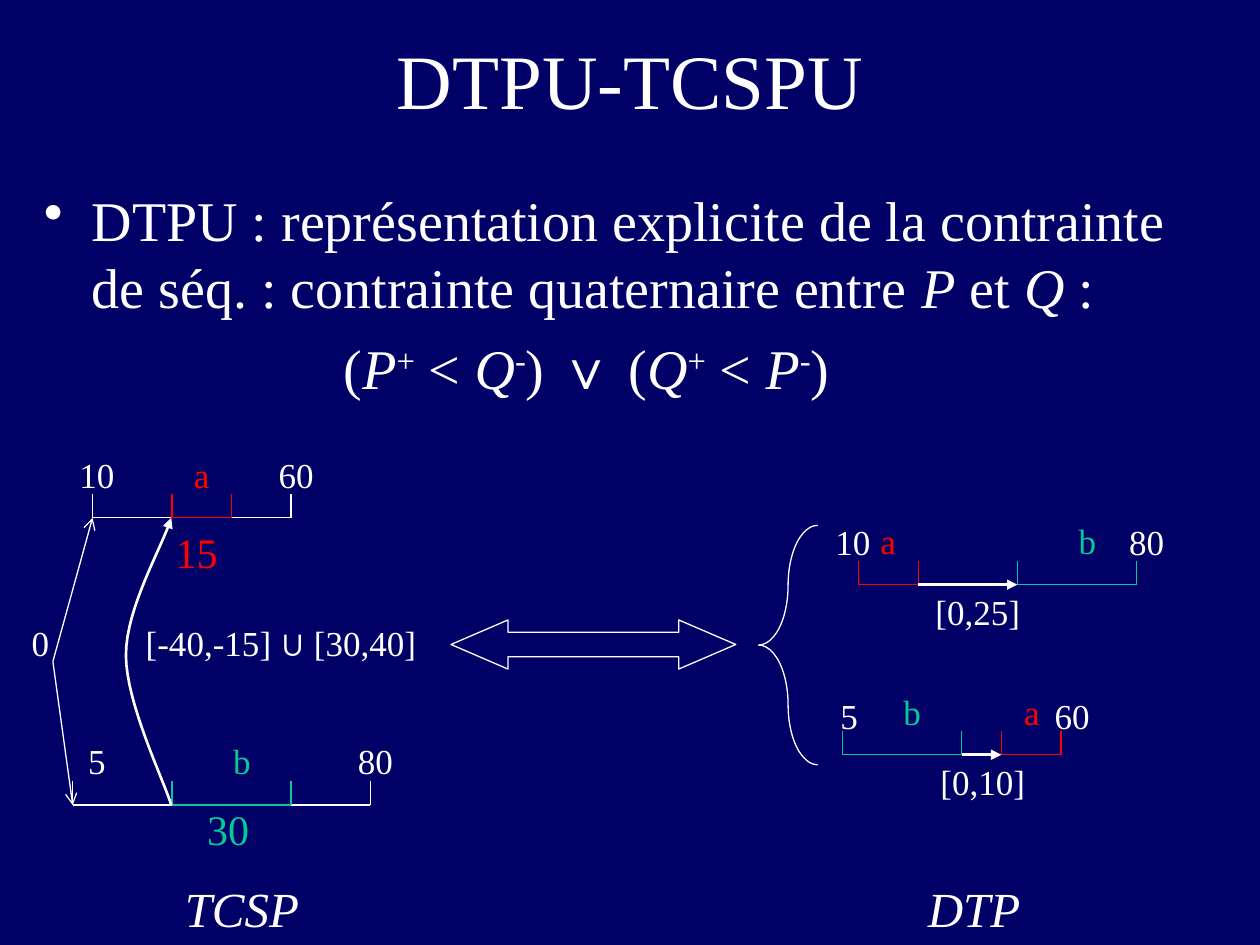
from lxml.etree import SubElement
from pptx import Presentation
from pptx.dml.color import RGBColor
from pptx.enum.shapes import MSO_CONNECTOR, MSO_SHAPE
from pptx.enum.text import MSO_ANCHOR, MSO_AUTO_SIZE, PP_ALIGN
from pptx.oxml.ns import qn
from pptx.util import Inches, Pt

COLOURS = {"navy": "000066", "white": "FFFFFF", "red": "FF0000", "green": "00CC99"}
SERIF, SANS = "Times New Roman", "Arial"
ITALIC, RAISED, SYMBOL = {"italic": True}, {"raised": True}, {"name": SANS}

TITLE = "DTPU-TCSPU"
INTRO = [("DTPU : représentation explicite de la contrainte de séq. : "
          "contrainte quaternaire entre ", {}),
         ("P", ITALIC), (" et ", {}), ("Q ", ITALIC), (":", {})]
FORMULA = [("(", {}), ("P", ITALIC), ("+", RAISED), (" < ", {}), ("Q", ITALIC),
           ("-", RAISED), (") ", {}), ("∨", SYMBOL), (" (", {}), ("Q", ITALIC),
           ("+", RAISED), (" < ", {}), ("P", ITALIC), ("-", RAISED), (")", {})]
UNION = [("[-40,-15] ", {}), ("∪", SYMBOL), (" [30,40]", {})]

# One time unit is UNIT inches; each timeline starts counting at its origin.
UNIT, TICK = 0.0315, 0.19
TCSP_ORIGIN = 0.42
TIMELINES = [
    {"origin": TCSP_ORIGIN, "y": 4.11, "white_ticks": (10, 60),
     "segments": [(10, 30, "white"), (30, 45, "red"), (45, 60, "white")]},
    {"origin": TCSP_ORIGIN, "y": 6.39, "white_ticks": (5, 80),
     "segments": [(5, 30, "white"), (30, 60, "green"), (60, 80, "white")]},
    {"origin": 6.5, "y": 4.64, "arrow": (25, 50),
     "segments": [(10, 25, "red"), (50, 80, "green")]},
    {"origin": 6.53, "y": 5.99, "arrow": (35, 45),
     "segments": [(5, 35, "green"), (45, 60, "red")]},
]
ZERO_POINT = (TCSP_ORIGIN, 5.25)
CURVE = [((1.36, 6.39), (1.3, 6.19), (1, 5.58), (1, 5.2)),
         ((1, 5.2), (1, 4.82), (1.29, 4.34), (1.36, 4.11))]

# Text, centre, top, width, size, colour, run format
LABELS = [
    ("0", 0.32, 4.88, 0.64, 20, "white", {}),
    ("10", 0.77, 3.55, 0.71, 20, "white", {}),
    ("a", 1.6, 3.55, 0.47, 20, "red", {}),
    ("60", 2.35, 3.55, 0.71, 20, "white", {}),
    ("15", 1.56, 4.13, 0.63, 24, "red", {}),
    ("5", 0.77, 5.82, 0.71, 20, "white", {}),
    ("b", 1.92, 5.82, 0.47, 20, "green", {}),
    ("80", 2.98, 5.82, 0.71, 20, "white", {}),
    ("30", 1.81, 6.33, 0.63, 24, "green", {}),
    ("10", 6.77, 4.08, 0.71, 20, "white", {}),
    ("a", 7.05, 4.07, 0.47, 20, "red", {}),
    ("b", 8.63, 4.07, 0.47, 20, "green", {}),
    ("80", 9.1, 4.08, 0.71, 20, "white", {}),
    ("[0,25]", 7.76, 4.64, 0.95, 20, "white", {}),
    ("5", 6.74, 5.46, 0.71, 20, "white", {}),
    ("b", 7.24, 5.43, 0.47, 20, "green", {}),
    ("a", 8.19, 5.43, 0.47, 20, "red", {}),
    ("60", 8.51, 5.46, 0.71, 20, "white", {}),
    ("[0,10]", 7.8, 5.99, 0.95, 20, "white", {}),
    ("TCSP", 1.92, 6.92, 1.17, 28, "white", ITALIC),
    ("DTP", 7.73, 6.92, 0.95, 28, "white", ITALIC),
]


def rgb(colour):
    return RGBColor.from_string(COLOURS[colour])


def place(shape, left, top, width, height):
    box = {"left": left, "top": top, "width": width, "height": height}
    for name, value in box.items():
        setattr(shape, name, Inches(value))


def write_runs(paragraph, runs, size, colour="white"):
    for text, changes in runs:
        run = paragraph.add_run()
        run.text = text
        settings = {"name": SERIF, "size": Pt(size), **changes}
        if settings.pop("raised", False):
            run.font._element.set("baseline", "30000")
        for name, value in settings.items():
            setattr(run.font, name, value)
        run.font.color.rgb = rgb(colour)


def add_text_box(slide, left, top, width, height):
    text_box = slide.shapes.add_textbox(
        Inches(left), Inches(top), Inches(width), Inches(height))
    text_box.text_frame.word_wrap = True
    return text_box.text_frame


def add_label(slide, runs, centre, top, width, size, colour):
    frame = add_text_box(slide, centre - width / 2, top, width, 0.58)
    paragraph = frame.paragraphs[0]
    paragraph.alignment = PP_ALIGN.CENTER
    write_runs(paragraph, runs, size, colour)


def style_line(shape, colour="white", width=0.75, head=None):
    shape.line.color.rgb = rgb(colour)
    shape.line.width = Pt(width)
    if head:
        SubElement(shape.line._get_or_add_ln(), qn("a:tailEnd"), type=head)


def style_outline(shape, **line_format):
    shape.shadow.inherit = False
    shape.fill.background()
    style_line(shape, **line_format)


def add_line(slide, start, end, **line_format):
    connector = slide.shapes.add_connector(
        MSO_CONNECTOR.STRAIGHT, *(Inches(value) for value in (*start, *end)))
    style_line(connector, **line_format)
    SubElement(connector._element.spPr, qn("a:effectLst"))


def add_timeline(slide, origin, y, segments, white_ticks=(), arrow=None):
    def x(time):
        return origin + UNIT * time

    ticks = [(time, "white") for time in white_ticks]
    for start, end, colour in segments:
        add_line(slide, (x(start), y), (x(end), y), colour=colour)
        if colour != "white":
            ticks += [(start, colour), (end, colour)]
    for time, colour in ticks:
        add_line(slide, (x(time), y - TICK), (x(time), y), colour=colour)
    if arrow:
        start, end = arrow
        add_line(slide, (x(start), y), (x(end), y), width=1.5, head="triangle")


def bezier_point(points, t):
    """Return the point at share t of a cubic curve, in whole EMU."""
    weights = ((1 - t) ** 3, 3 * t * (1 - t) ** 2, 3 * t ** 2 * (1 - t), t ** 3)
    return tuple(Inches(sum(w * point[axis] for w, point in zip(weights, points)))
                 for axis in (0, 1))


def add_curve(slide, pieces, steps=16):
    start = bezier_point(pieces[0], 0)
    points = [bezier_point(piece, step / steps)
              for piece in pieces for step in range(1, steps + 1)]
    builder = slide.shapes.build_freeform(*start)
    builder.add_line_segments(points, close=False)
    style_outline(builder.convert_to_shape(), width=1.5, head="triangle")


def add_outline_shape(slide, kind, box, adjustments):
    shape = slide.shapes.add_shape(kind, *(Inches(value) for value in box))
    for index, value in enumerate(adjustments):
        shape.adjustments[index] = value
    style_outline(shape)


def add_title(slide):
    title = slide.shapes.title
    place(title, 0.75, 0, 8.5, 1.25)
    frame = title.text_frame
    settings = {"vertical_anchor": MSO_ANCHOR.MIDDLE, "word_wrap": True,
                "auto_size": MSO_AUTO_SIZE.NONE}
    for name, value in settings.items():
        setattr(frame, name, value)
    frame.paragraphs[0].alignment = PP_ALIGN.CENTER
    write_runs(frame.paragraphs[0], [(TITLE, {})], 44)


def add_body(slide):
    frame = add_text_box(slide, 0.25, 1.42, 9.33, 1.92)
    intro, formula = frame.paragraphs[0], frame.add_paragraph()
    for paragraph, runs, margin, indent in ((intro, INTRO, 0.38, -0.38),
                                            (formula, FORMULA, 2.38, 0)):
        properties = paragraph._p.get_or_add_pPr()
        properties.set("marL", str(Inches(margin)))
        properties.set("indent", str(Inches(indent)))
        write_runs(paragraph, runs, 32)
    formula.space_before = Pt(8)
    SubElement(intro._p.pPr, qn("a:buChar"), char="•")


def main():
    presentation = Presentation()
    presentation.slide_width, presentation.slide_height = Inches(10), Inches(7.5)
    slide = presentation.slides.add_slide(presentation.slide_layouts[5])
    slide.background.fill.solid()
    slide.background.fill.fore_color.rgb = rgb("navy")
    add_title(slide)
    add_body(slide)
    for timeline in TIMELINES:
        add_timeline(slide, **timeline)
    for timeline in TIMELINES[:2]:
        first_x = TCSP_ORIGIN + UNIT * timeline["white_ticks"][0]
        add_line(slide, ZERO_POINT, (first_x, timeline["y"]), head="arrow")
    add_curve(slide, CURVE)
    add_outline_shape(slide, MSO_SHAPE.LEFT_RIGHT_ARROW, (3.58, 4.92, 2.26, 0.39), (0.5, 1.16))
    add_outline_shape(slide, MSO_SHAPE.LEFT_BRACE, (6.02, 4.17, 0.47, 1.9), (1.01, 0.5))
    for text, centre, top, width, size, colour, changes in LABELS:
        add_label(slide, [(text, changes)], centre, top, width, size, colour)
    add_label(slide, UNION, 2.23, 4.88, 2.37, 20, "white")
    presentation.save("out.pptx")


if __name__ == "__main__":
    main()
